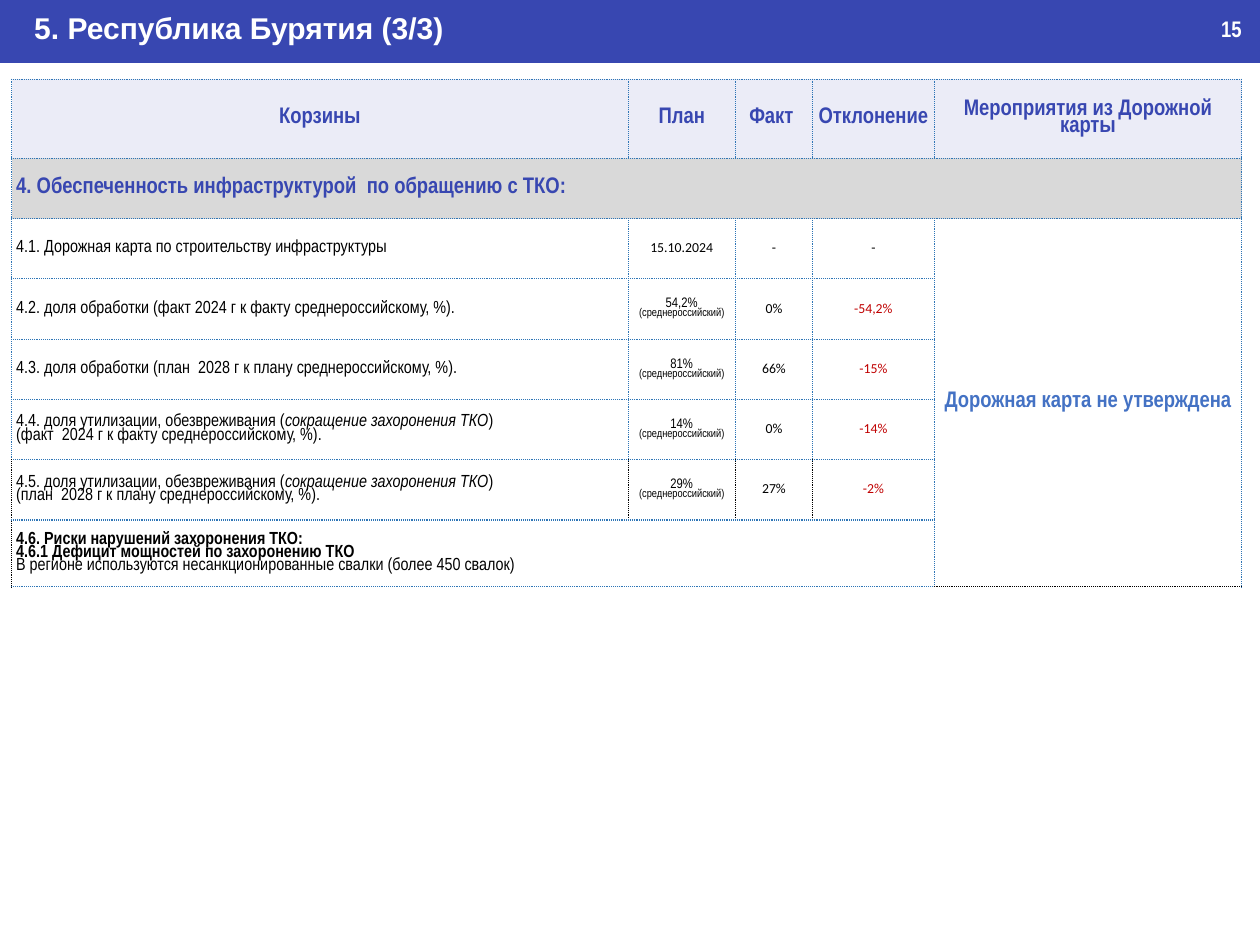
from lxml.etree import SubElement
from pptx import Presentation
from pptx.dml.color import RGBColor
from pptx.enum.shapes import MSO_SHAPE
from pptx.enum.text import MSO_ANCHOR, PP_ALIGN
from pptx.oxml.ns import qn
from pptx.util import Inches, Pt

COLORS = {"blue": "3847B1", "header": "EBECF7", "section": "D9D9D9", "border": "2E75B6",
          "accent": "4472C4", "red": "C00000", "black": "000000", "white": "FFFFFF"}
NARROW = "Arial Narrow"


def write(frame, paragraphs, align=PP_ALIGN.LEFT, spacing=1.0, **base):
    """Fill a frame; each paragraph is a string or a list of (text, overrides) runs."""
    for index, runs in enumerate(paragraphs):
        paragraph = frame.paragraphs[0] if index == 0 else frame.add_paragraph()
        paragraph.alignment = align
        paragraph.line_spacing = spacing
        for text, changes in [(runs, {})] if isinstance(runs, str) else runs:
            style = {"size": 14, "font": NARROW, "color": "black",
                     "bold": False, "italic": False, **base, **changes}
            for number, line in enumerate(text.split("\n")):
                if number:
                    paragraph.add_line_break()
                run = paragraph.add_run()
                run.text = line
                run.font.size = Pt(style["size"])
                run.font.name = style["font"]
                run.font.bold = style["bold"]
                run.font.italic = style["italic"]
                run.font.color.rgb = RGBColor.from_string(COLORS[style["color"]])


def set_borders(cell, black_sides):
    properties = cell._tc.get_or_add_tcPr()
    for side in "LRTB":
        line = SubElement(properties, qn(f"a:ln{side}"), w=str(Pt(1)))
        fill = SubElement(line, qn("a:solidFill"))
        color = COLORS["black" if side in black_sides else "border"]
        SubElement(fill, qn("a:srgbClr"), val=color)
        SubElement(line, qn("a:prstDash"), val="sysDot")


prs = Presentation()
prs.slide_width = Inches(14)
prs.slide_height = Inches(10.5)
slide = prs.slides.add_slide(prs.slide_layouts[6])

# Title band
band = slide.shapes.add_shape(MSO_SHAPE.RECTANGLE, 0, 0, prs.slide_width, Inches(0.7))
band.shadow.inherit = False
band.fill.solid()
band.fill.fore_color.rgb = RGBColor.from_string(COLORS["blue"])
band.line.fill.background()

title = slide.shapes.add_textbox(Inches(-0.01), Inches(0.06), Inches(13.99), Inches(0.5))
title.text_frame.word_wrap = True
title.text_frame.margin_left = Inches(0.39)
write(title.text_frame, ["5. Республика Бурятия (3/3)"],
      size=24, font="Arial", color="white", bold=True)

page_number = slide.shapes.add_textbox(Inches(13.47), Inches(0.12), Inches(0.52), Inches(0.4))
page_number.text_frame.word_wrap = True
write(page_number.text_frame, ["15"], size=18, color="white", bold=True)

# Table grid
column_widths = [6.85, 1.19, 0.86, 1.35, 3.42]
row_heights = [0.88] + [0.67] * 6 + [0.74]
table = slide.shapes.add_table(len(row_heights), len(column_widths), Inches(0.13), Inches(0.88),
                               Inches(sum(column_widths)), Inches(sum(row_heights))).table
table.first_row = table.horz_banding = False
for column, width in zip(table.columns, column_widths):
    column.width = Inches(width)
for row, height in zip(table.rows, row_heights):
    row.height = Inches(height)

row_fills = {0: "header", 1: "section"}
black_borders = {(6, 0): "LR", (6, 1): "LR", (6, 2): "L", (6, 3): "L", (7, 0): "L"}
for r in range(len(row_heights)):
    for c in range(len(column_widths)):
        cell = table.cell(r, c)
        cell.vertical_anchor = MSO_ANCHOR.MIDDLE
        cell.margin_left = cell.margin_right = Inches(0.05)
        cell.margin_top = cell.margin_bottom = Inches(0.02)
        set_borders(cell, "B" if c == 4 and r >= 2 else black_borders.get((r, c), ""))
        if r in row_fills:
            cell.fill.solid()
            cell.fill.fore_color.rgb = RGBColor.from_string(COLORS[row_fills[r]])
        else:
            cell.fill.background()

table.cell(1, 0).merge(table.cell(1, 4))
table.cell(2, 4).merge(table.cell(7, 4))
table.cell(7, 0).merge(table.cell(7, 3))

# Headings
tight = {"spacing": 0.8}
centered = {"align": PP_ALIGN.CENTER, **tight}
heading = {"size": 18, "color": "blue", "bold": True}
headers = ["Корзины", "План", "Факт ", "Отклонение", "Мероприятия из Дорожной карты"]
for c, header in enumerate(headers):
    write(table.cell(0, c).text_frame, [header], **centered, **heading)
write(table.cell(1, 0).text_frame,
      ["4. Обеспеченность инфраструктурой  по обращению с ТКО:"], **tight, **heading)

# Indicators: name, plan, fact, deviation
reduction = ("сокращение захоронения ТКО", {"italic": True})
indicators = [
    ("4.1. Дорожная карта по строительству инфраструктуры", "15.10.2024", "-", "-"),
    ("4.2. доля обработки (факт 2024 г к факту среднероссийскому, %).", "54,2%", "0%", "-54,2%"),
    ("4.3. доля обработки (план  2028 г к плану среднероссийскому, %).", "81%", "66%", "-15%"),
    ([("4.4. доля утилизации, обезвреживания (", {}), reduction,
      (") \n(факт  2024 г к факту среднероссийскому, %).", {})], "14%", "0%", "-14%"),
    ([("4.5. доля утилизации, обезвреживания (", {}), reduction,
      (") \n(план  2028 г к плану среднероссийскому, %).", {})], "29%", "27%", "-2%"),
]
for r, (name, plan, fact, deviation) in enumerate(indicators, start=2):
    is_share = plan.endswith("%")
    write(table.cell(r, 0).text_frame, [name], **tight)
    plan_lines = [plan, [("(среднероссийский)", {"size": 9})]] if is_share else [plan]
    write(table.cell(r, 1).text_frame, plan_lines, size=11,
          font=NARROW if is_share else "Calibri", **centered)
    write(table.cell(r, 2).text_frame, [fact], size=11, font="Calibri", **centered)
    write(table.cell(r, 3).text_frame, [deviation], size=11, font="Calibri",
          color="red" if is_share else "black", **centered)

# Risks and roadmap status
write(table.cell(7, 0).text_frame,
      ["4.6. Риски нарушений захоронения ТКО:",
       "4.6.1 Дефицит мощностей по захоронению ТКО",
       [("В регионе используются несанкционированные свалки (более 450 свалок)",
         {"bold": False})]], bold=True, **tight)
write(table.cell(2, 4).text_frame, ["Дорожная карта не утверждена"],
      size=18, color="accent", bold=True, **centered)

prs.save("out.pptx")
